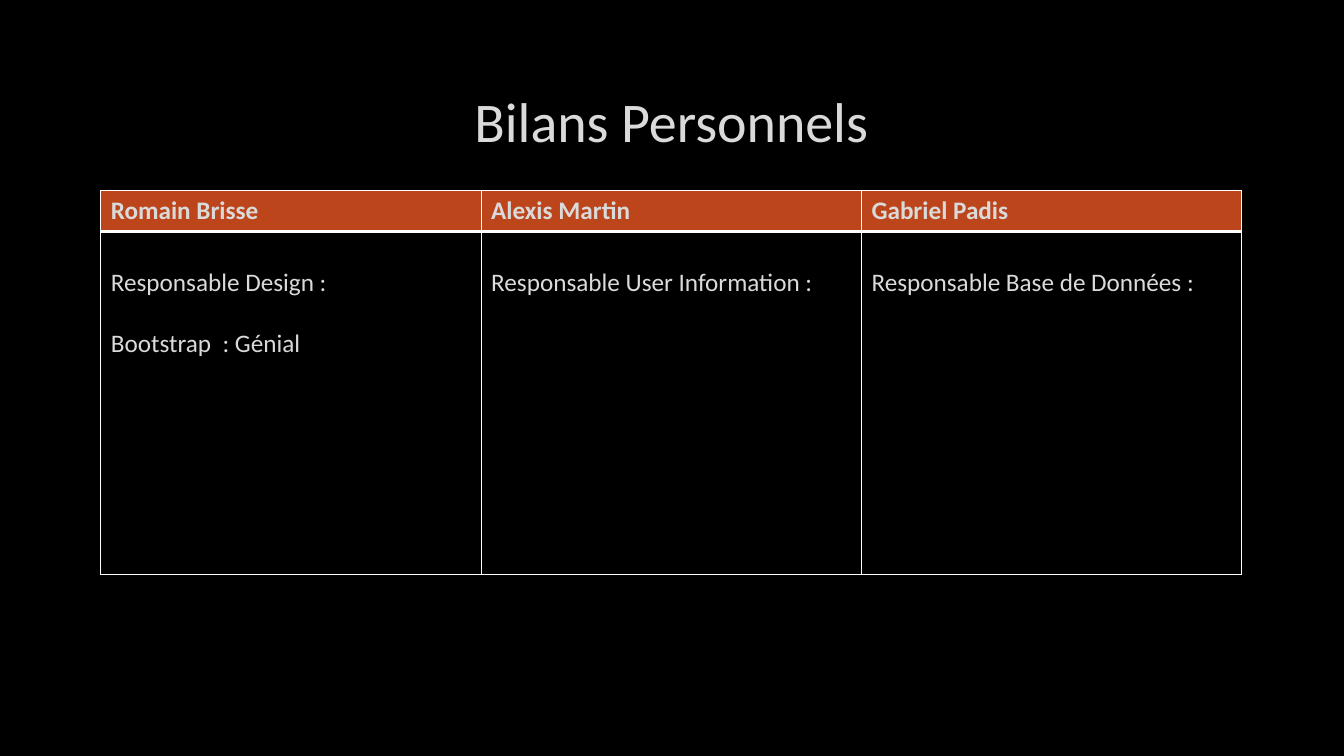
import pptx
import pptx.dml.color
import pptx.enum.text
import pptx.oxml
import pptx.oxml.ns
import pptx.util

Pt = pptx.util.Pt
LEFT, WIDTH = 72, 815.04
HEAD, BODY = 29.2, 245.1
GAP = 22
PEOPLE = [
    ("Romain Brisse", ["Responsable Design :", "Bootstrap  : Génial"]),
    ("Alexis Martin", ["Responsable User Information :"]),
    ("Gabriel Padis", ["Responsable Base de Données :"]),
]


def color(code):
    return pptx.dml.color.RGBColor.from_string(code)


def paint(fill, code):
    fill.solid()
    fill.fore_color.rgb = color(code)


def write(para, text, size, bold=False):
    run = para.add_run()
    run.text = text
    run.font.name = "Calibri"
    run.font.size = Pt(size)
    run.font.bold = bold
    run.font.color.rgb = color("DADADA")


def border(cell, **sides):
    props = cell._tc.get_or_add_tcPr()
    for side, width in sides.items():
        props.append(pptx.oxml.parse_xml(
            f'<a:ln{side} {pptx.oxml.ns.nsdecls("a")} w="{Pt(width)}">'
            '<a:solidFill><a:srgbClr val="FFFFFF"/></a:solidFill>'
            f'</a:ln{side}>'))


def title(slide, text):
    box = slide.shapes.add_textbox(Pt(LEFT), Pt(48), Pt(WIDTH), Pt(76.3))
    frame = box.text_frame
    frame.word_wrap = True
    frame.vertical_anchor = pptx.enum.text.MSO_ANCHOR.MIDDLE
    para = frame.paragraphs[0]
    para.alignment = pptx.enum.text.PP_ALIGN.CENTER
    write(para, text, 40)


def header(cell, name):
    border(cell, L=1, R=1, T=1, B=3)
    paint(cell.fill, "BC451B")
    write(cell.text_frame.paragraphs[0], name, 18, True)


def body(cell, lines):
    border(cell, L=1, R=1, T=3, B=1)
    cell.fill.background()
    cell.margin_top = Pt(3.6 + GAP)
    frame = cell.text_frame
    for row, line in enumerate(lines):
        para = frame.add_paragraph() if row else frame.paragraphs[0]
        if row:
            para.space_before = Pt(GAP)
        write(para, line, 18)


def review(slide, people):
    frame = slide.shapes.add_table(
        2, len(people), Pt(LEFT), Pt(136.1), Pt(WIDTH), Pt(HEAD + BODY))
    table = frame.table
    table.horz_banding = False
    for row, height in zip(table.rows, (HEAD, BODY)):
        row.height = Pt(height)
    for col, (name, lines) in enumerate(people):
        table.columns[col].width = Pt(WIDTH / len(people))
        header(table.cell(0, col), name)
        body(table.cell(1, col), lines)


def main():
    deck = pptx.Presentation()
    deck.slide_width, deck.slide_height = Pt(960), Pt(540)
    slide = deck.slides.add_slide(deck.slide_layouts[6])
    paint(slide.background.fill, "000000")
    title(slide, "Bilans Personnels")
    review(slide, PEOPLE)
    deck.save("out.pptx")


if __name__ == "__main__":
    main()
